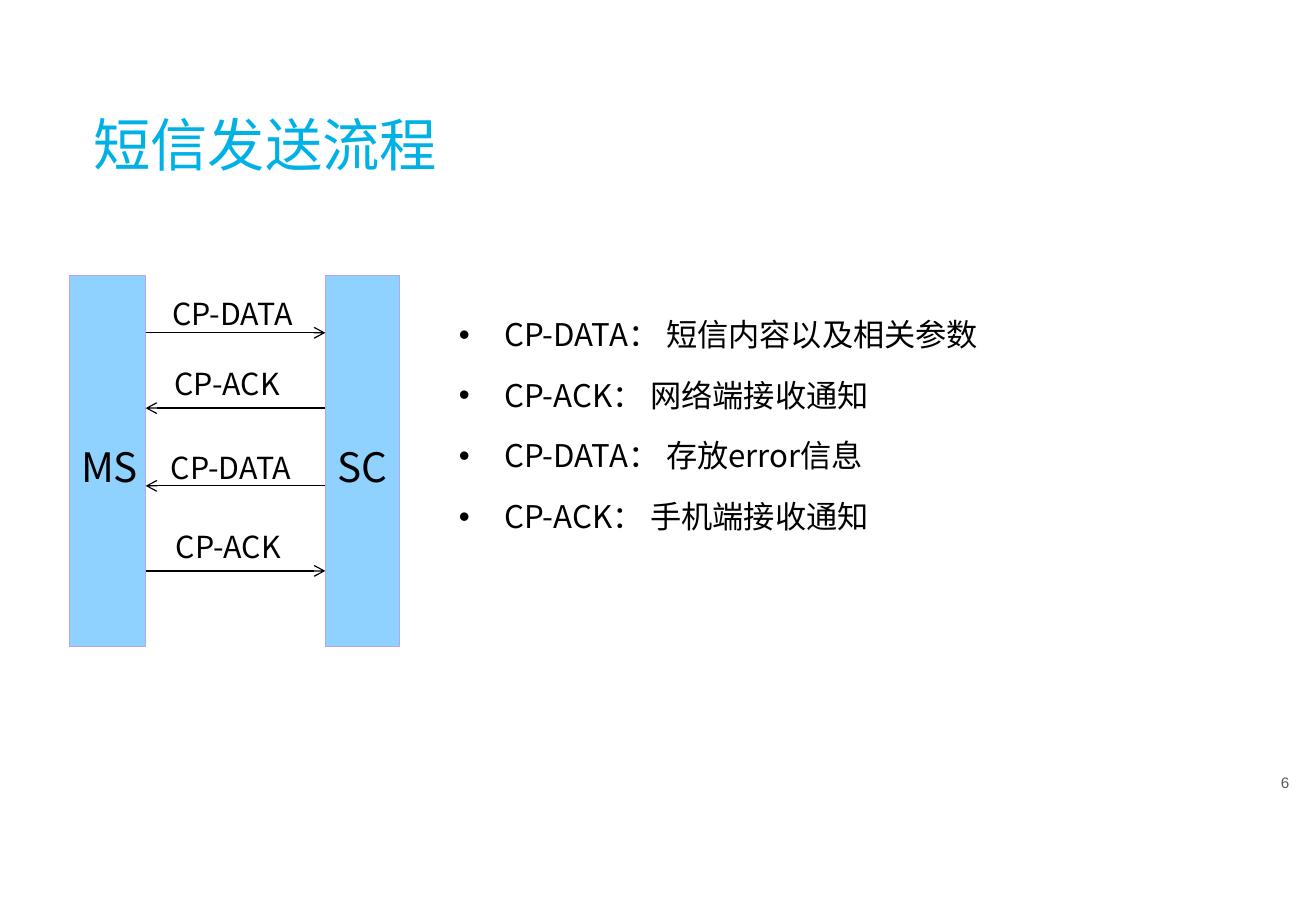
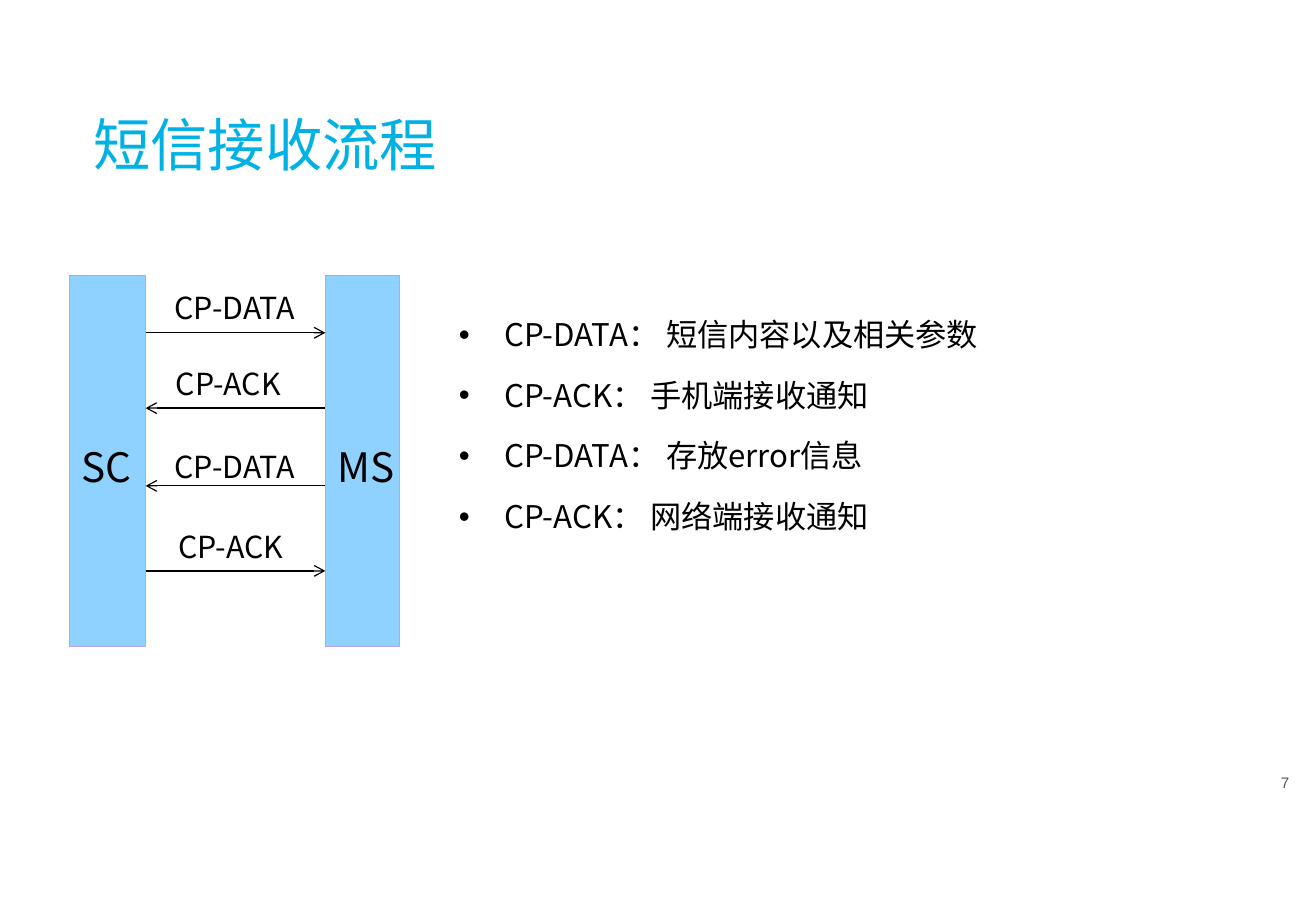
from lxml import etree
from pptx import Presentation
from pptx.dml.color import RGBColor
from pptx.enum.shapes import MSO_CONNECTOR, MSO_SHAPE
from pptx.enum.text import MSO_ANCHOR, MSO_AUTO_SIZE, PP_ALIGN
from pptx.oxml.ns import qn
from pptx.util import Inches, Pt

LEFT, RIGHT = PP_ALIGN.LEFT, PP_ALIGN.RIGHT
TOP, MIDDLE = MSO_ANCHOR.TOP, MSO_ANCHOR.MIDDLE
NO_AUTOFIT = MSO_AUTO_SIZE.NONE
RECTANGLE = MSO_SHAPE.RECTANGLE
STRAIGHT = MSO_CONNECTOR.STRAIGHT

COLORS = {
    "title": "00B1E6",
    "text": "000000",
    "number": "595959",
    "bar": "8FD2FF",
    "bar_line": "B7A5E9",
}
CJK = "Noto Sans CJK SC"
FIRST_NUMBER = 6

SLIDES = [
    {
        "title": "短信发送流程",
        "nodes": ("MS", "SC"),
        "bullets": [
            "CP-DATA： 短信内容以及相关参数",
            "CP-ACK： 网络端接收通知",
            "CP-DATA： 存放error信息",
            "CP-ACK： 手机端接收通知",
        ],
        "label_places": [(1.32, 2.38), (1.34, 2.96), (1.31, 3.65), (1.35, 4.3)],
    },
    {
        "title": "短信接收流程",
        "nodes": ("SC", "MS"),
        "bullets": [
            "CP-DATA： 短信内容以及相关参数",
            "CP-ACK： 手机端接收通知",
            "CP-DATA： 存放error信息",
            "CP-ACK： 网络端接收通知",
        ],
        "label_places": [(1.34, 2.33), (1.35, 2.96), (1.34, 3.64), (1.37, 4.3)],
    },
]

MESSAGES = [
    ("CP‑DATA", 2.74, True),
    ("CP‑ACK", 3.36, False),
    ("CP‑DATA", 4, False),
    ("CP‑ACK", 4.7, True),
]
BARS = [(0.57, 0.63), (2.68, 0.61)]
BAR_TOP, BAR_HEIGHT = 2.27, 3.05

TITLE = {"size": 34, "color": "title", "paragraph": {"line_spacing": Pt(34)}}
BULLETS = {"size": 18.5, "paragraph": {"line_spacing": 0.9}, "gap": 16,
           "frame": {"margin_top": Inches(0.02)}}
NODE = {"size": 24, "frame": {"vertical_anchor": MIDDLE, "margin_top": Inches(0.14),
                              "margin_right": 0}}
LABEL = {"size": 18}
NUMBER = {"size": 9, "font": "Arial", "color": "number", "paragraph": {"alignment": RIGHT}}


def color(name):
    return RGBColor.from_string(COLORS[name])


def set_attributes(target, values):
    for name, value in values.items():
        setattr(target, name, value)


def place(shape, *box):
    set_attributes(shape, dict(zip(("left", "top", "width", "height"), map(Inches, box))))


def write(shape, lines, style):
    frame = shape.text_frame
    set_attributes(frame, {"word_wrap": True, "auto_size": NO_AUTOFIT, "vertical_anchor": TOP,
                           **style.get("frame", {})})
    font_name = style.get("font", CJK)
    for index, line in enumerate(lines):
        paragraph = frame.add_paragraph() if index else frame.paragraphs[0]
        set_attributes(paragraph, {"alignment": LEFT,
                                   "space_before": Pt(style.get("gap", 0) if index else 0),
                                   **style.get("paragraph", {})})
        run = paragraph.add_run()
        run.text = line
        set_attributes(run.font, {"name": font_name, "size": Pt(style["size"])})
        run.font.color.rgb = color(style.get("color", "text"))
        east_asian = etree.SubElement(run._r.get_or_add_rPr(), qn("a:ea"))
        east_asian.set("typeface", font_name)


def add_text(slide, box, line, style):
    write(slide.shapes.add_textbox(*map(Inches, box)), [line], style)


def add_bar(slide, left, width, name):
    bar = slide.shapes.add_shape(RECTANGLE, *map(Inches, (left, BAR_TOP, width, BAR_HEIGHT)))
    bar.shadow.inherit = False
    bar.fill.solid()
    bar.fill.fore_color.rgb = color("bar")
    bar.line.color.rgb = color("bar_line")
    bar.line.width = Pt(0.75)
    write(bar, [name], NODE)


def add_arrow(slide, start, end, height):
    arrow = slide.shapes.add_connector(STRAIGHT, *map(Inches, (start, height, end, height)))
    arrow.line.color.rgb = color("text")
    arrow.line.width = Pt(0.75)
    etree.SubElement(arrow.line._get_or_add_ln(), qn("a:tailEnd")).set("type", "arrow")
    etree.SubElement(arrow._element.spPr, qn("a:effectLst"))


def build_slide(presentation, number, content):
    slide = presentation.slides.add_slide(presentation.slide_layouts[1])
    title, body = slide.placeholders
    place(title, 0.67, 0.94, 9.52, 0.57)
    write(title, [content["title"]], TITLE)
    place(body, 3.68, 2.61, 6.43, 2.57)
    write(body, content["bullets"], BULLETS)
    for (left, width), name in zip(BARS, content["nodes"]):
        add_bar(slide, left, width, name)
    ends = (sum(BARS[0]), BARS[1][0])
    for (label, height, forward), spot in zip(MESSAGES, content["label_places"]):
        start, end = ends if forward else reversed(ends)
        add_arrow(slide, start, end, height)
        add_text(slide, (*spot, 1.33, 0.4), label, LABEL)
    add_text(slide, (9.95, 6.32, 0.77, 0.25), str(number), NUMBER)


def main():
    presentation = Presentation()
    presentation.slide_width = Inches(10.84)
    presentation.slide_height = Inches(7.5)
    for number, content in enumerate(SLIDES, FIRST_NUMBER):
        build_slide(presentation, number, content)
    presentation.save("out.pptx")


if __name__ == "__main__":
    main()
